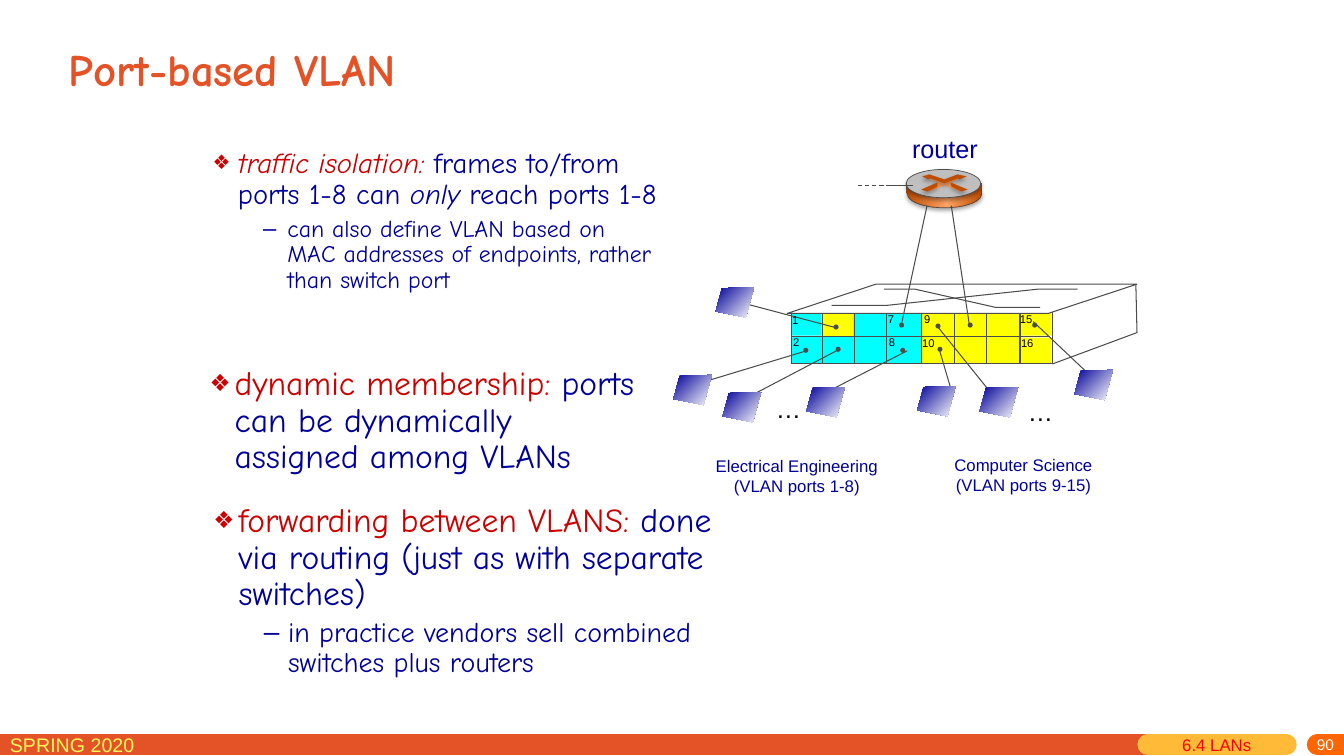
import copy

import pptx
import pptx.dml.color
import pptx.enum.dml
import pptx.enum.shapes
import pptx.enum.text
import pptx.oxml
import pptx.oxml.ns
import pptx.oxml.xmlchemy
import pptx.util

Pt = pptx.util.Pt
qn = pptx.oxml.ns.qn
MSO = pptx.enum.shapes.MSO_SHAPE
ALIGN = pptx.enum.text.PP_ALIGN
ANCHOR = pptx.enum.text.MSO_ANCHOR

GREY, NAVY, RED, BLACK = "4C4C4C", "000099", "CC0000", "000000"
CYAN, YELLOW, RUST = "00FFFF", "FFFF00", "BF4D00"
COPPER = (RUST, "FFA366", RUST)
SHADOW = (
    '<a:outerShdw xmlns:a="http://schemas.openxmlformats.org/drawingml/2006/main" '
    'blurRad="39370" dist="22860" dir="5400000" rotWithShape="0">'
    '<a:srgbClr val="000000"><a:alpha val="35000"/></a:srgbClr></a:outerShdw>'
)


def paint(fill, *colours, angle=0):
    if not colours:
        fill.background()
    elif len(colours) == 1:
        fill.solid()
        fill.fore_color.rgb = pptx.dml.color.RGBColor.from_string(colours[0])
    else:
        fill.gradient()
        fill.gradient_angle = angle
        if len(colours) == 3:
            first = fill.gradient_stops[0]._gs
            middle = copy.deepcopy(first)
            middle.set("pos", "53000")
            first.addnext(middle)
        for stop, colour in zip(fill.gradient_stops, colours):
            stop.color.rgb = pptx.dml.color.RGBColor.from_string(colour)


def write(p, text, colour, **fmt):
    r = p.add_run()
    r.text = text
    paint(r.font.fill, colour)
    for name, value in fmt.items():
        setattr(r.font, name, value)


prs = pptx.Presentation()
prs.slide_width, prs.slide_height = Pt(960), Pt(540)
s = prs.slides.add_slide(prs.slide_layouts[1])

shapes = [
    (MSO.RECTANGLE, 565.2, 223.9, 21.6, 15.8, [CYAN], 0, False),
    (MSO.RECTANGLE, 565.2, 240.5, 23, 19.4, [CYAN], 0, False),
    (MSO.RECTANGLE, 587.5, 223.9, 70.6, 35.3, [CYAN], 0, False),
    (MSO.RECTANGLE, 658.1, 223.9, 69.8, 36, [YELLOW], 0, False),
    (MSO.RECTANGLE, 727.9, 223.2, 23, 16.6, [YELLOW], 0, False),
    (MSO.RECTANGLE, 728.6, 241.2, 22.3, 18, [YELLOW], 0, False),
    (MSO.RECTANGLE, 587.5, 223.9, 22.3, 16.6, [YELLOW], 0, False),
    (MSO.RECTANGLE, 565.2, 223.2, 186.5, 36.7, [], 0.75, False),
    (MSO.PARALLELOGRAM, 562.3, 203, 249.8, 20.9, ["FFFFFF"], 0.75, False),
    (MSO.OVAL, 648, 128.2, 53.3, 20.2, COPPER, 0.5, True),
    (MSO.RECTANGLE, 647.3, 131, 54, 7.2, COPPER, 0, False),
    (MSO.OVAL, 647.3, 121, 53.3, 20.2, ["BFBFBF"], 0.5, True),
]
dots = [(573.8, 248.4), (596.9, 247.7), (643, 248.4), (669.6, 247.7), (668.2, 231.1),
        (737.3, 230.4), (642.2, 230.4), (691.2, 230.4), (595.4, 231.8)]
shapes += [(MSO.OVAL, x, y, 3.6, 3.6, [GREY], 0, False) for x, y in dots]
for kind, x, y, w, h, colours, width, shadow in shapes:
    sp = s.shapes.add_shape(kind, Pt(x), Pt(y), Pt(w), Pt(h))
    if kind == MSO.PARALLELOGRAM:
        sp.adjustments[0] = 3.032
    paint(sp.fill, *colours)
    paint(sp.line.fill, *([GREY] if width else []))
    if width:
        sp.line.width = Pt(width)
    sp.shadow.inherit = False
    if shadow:
        sp.element.spPr.find(qn("a:effectLst")).append(pptx.oxml.parse_xml(SHADOW))

links = [
    (576, 250.6, 504.7, 272.2), (599, 249.8, 535.7, 283), (648, 250.6, 591.8, 279.4),
    (671, 249.8, 679.7, 279.4), (670.3, 234, 708.5, 281.5), (738, 229.7, 778.3, 267.8),
    (596.9, 234, 534.2, 217.4), (643.7, 232.6, 662.2, 146.9), (692.6, 233.3, 679.5, 146.9),
    (632.9, 132.5, 652.3, 132.5), (565.2, 240.5, 750.2, 240.5),
]
dividers = [565.2, 587.5, 610.6, 632.9, 658.1, 681.8, 704.9, 728.6]
links += [(x, 223.7, x, 260.2) for x in dividers]
lines = [(*link, GREY, 0.75, None) for link in links]
lines += [
    (612.7, 132.5, 632.2, 132.5, GREY, 0.75, pptx.enum.dml.MSO_LINE.DASH),
    (648, 139, 647.3, 131, GREY, 0.5, None),
    (701.3, 138.2, 701.3, 131, GREY, 0.5, None),
    (0, 532, 820, 532, "E45327", 15, None),
    (820, 532, 918.7, 532, "FFBA37", 15, None),
    (941, 532, 960, 532, "FF6600", 15, None),
]
for x1, y1, x2, y2, colour, width, dash in lines:
    c = s.shapes.add_connector(pptx.enum.shapes.MSO_CONNECTOR.STRAIGHT,
                               Pt(x1), Pt(y1), Pt(x2), Pt(y2))
    paint(c.line.fill, colour)
    c.line.width = Pt(width)
    if dash:
        c.line.dash_style = dash
    if width == 15:
        c.element.spPr.find(qn("a:ln")).set("cap", "rnd")
    c.element.spPr.append(pptx.oxml.xmlchemy.OxmlElement("a:effectLst"))

hosts = [(481, 267.8), (516.2, 280.1), (576, 276.5), (655.2, 275.8),
         (699.8, 276.5), (767.5, 264.2), (511.2, 205.2)]
corners = [(27.5, 0), (4.5, 0.7), (0, 17.3), (21.6, 21.6)]
outlines = [([(x + dx, y + dy) for dx, dy in corners], [NAVY, "FFFFFF"], False)
            for x, y in hosts]
outlines += [
    ([(751.7, 260), (812.2, 237.6), (811.4, 203)], [], False),
    ([(594, 218.2), (632.9, 218.2), (740.9, 206.6), (769.7, 206.6)], [], False),
    ([(631.4, 206.6), (653.8, 206.6), (711.4, 219.6), (743, 219.6)], [], False),
    ([(674.6, 132.5), (663.8, 136.8), (661.7, 136.1), (669.6, 133.2), (669.6, 130.3),
      (663.1, 127.4), (665.3, 127.4), (674.6, 131), (683.3, 126.7), (686.2, 127.4),
      (679.7, 130.3), (681.1, 133.9), (687.6, 136.1), (685.4, 136.8)], ["FFA366"], False),
    ([(658.8, 126), (663.8, 124.6), (674.6, 128.2), (684, 124.6), (690.5, 126),
      (685.4, 128.2), (684, 127.4), (674.6, 131), (664.6, 127.4), (663.1, 128.2)],
     [RUST], True),
    ([(679, 130.3), (691.2, 135.4), (686.9, 136.8), (679.7, 133.2)], [RUST], True),
    ([(669.6, 130.3), (669.6, 133.2), (662.4, 136.8), (658.1, 135.4)], [RUST], True),
]
for points, colours, shadow in outlines:
    points = [(Pt(x), Pt(y)) for x, y in points]
    fb = s.shapes.build_freeform(*points[0], scale=1.0)
    fb.add_line_segments(points[1:], close=bool(colours))
    sp = fb.convert_to_shape()
    paint(sp.fill, *colours, angle=315)
    paint(sp.line.fill, *([] if colours else [GREY]))
    if not colours:
        sp.line.width = Pt(0.75)
    sp.shadow.inherit = False
    if shadow:
        sp.element.spPr.find(qn("a:effectLst")).append(pptx.oxml.parse_xml(SHADOW))

labels = [
    (["SPRING 2020"], 0, 519.8, 164.9, 22.3, 14, "FFF65C", ALIGN.LEFT),
    (["90"], 774, 527, 186, 13, 11, "FFFFFF", ALIGN.RIGHT),
    (["6.4 LANs"], 837.4, 521.3, 79.2, 22.3, 12, "FF0000", ALIGN.LEFT),
    (["router"], 644.4, 91.4, 61.9, 28.8, 18, NAVY, ALIGN.LEFT),
    (["…"], 727.2, 279.4, 32.4, 28.8, 18, BLACK, ALIGN.LEFT),
    (["…"], 547.2, 277.2, 32.4, 28.8, 18, BLACK, ALIGN.LEFT),
    (["Electrical Engineering", "(VLAN ports 1-8)"],
     504, 321.8, 130.3, 36, 12, NAVY, ALIGN.CENTER),
    (["Computer Science", "(VLAN ports 9-15)"],
     674.6, 321.1, 113, 36, 12, NAVY, ALIGN.CENTER),
]
ports = [("1", 558.7, 220.3), ("2", 559.4, 236.2), ("7", 627.1, 219.6), ("8", 627.8, 236.2),
         ("9", 653, 219.6), ("10", 651.6, 236.9), ("15", 721.4, 219.6), ("16", 722.2, 236.9)]
labels += [([n], x, y, 24, 16.6, 8, BLACK, ALIGN.LEFT) for n, x, y in ports]
for texts, x, y, w, h, size, colour, align in labels:
    tf = s.shapes.add_textbox(Pt(x), Pt(y), Pt(w), Pt(h)).text_frame
    tf.word_wrap = True
    if align == ALIGN.RIGHT:
        tf.vertical_anchor = ANCHOR.MIDDLE
        tf.margin_top = 0
    for i, text in enumerate(texts):
        p = tf.add_paragraph() if i else tf.paragraphs[0]
        p.alignment = align
        write(p, text, colour, name="Arial", size=Pt(size))

title, body = s.placeholders
title.left, title.top, title.width, title.height = Pt(41.8), Pt(20.2), Pt(877), Pt(56.9)
title.text_frame.vertical_anchor = ANCHOR.MIDDLE
p = title.text_frame.paragraphs[0]
p.alignment = ALIGN.LEFT
write(p, "Port-based VLAN", "E45327", name="Comic Neue", size=Pt(32), bold=True)

lists = [
    (body, 144.7, 103, 334.8, 139, [
        (20.4, [("traffic isolation: ", RED, True), ("frames to/from ports 1-8 can ", NAVY, False),
                ("only", NAVY, True), (" reach ports 1-8", NAVY, False)]),
        (17, [("can also define VLAN based on MAC addresses of endpoints, "
               "rather than switch port", NAVY, False)])]),
    (None, 142.6, 258.5, 319.7, 126.7, [
        (24, [("dynamic membership", RED, False), (": ", "FF0000", False),
              ("ports can be dynamically assigned among VLANs", NAVY, False)])]),
    (None, 145.4, 356.4, 393.8, 126.7, [
        (24, [("forwarding between VLANS: ", RED, False),
              ("done via routing (just as with separate switches)", NAVY, False)]),
        (20, [("in practice vendors sell combined switches plus routers", NAVY, False)])]),
]
levels = [("❖", 18, -18, "70000"), ("–", 53.3, -17.3, "100000")]
for sp, x, y, w, h, items in lists:
    sp = sp or s.shapes.add_textbox(0, 0, Pt(w), Pt(h))
    sp.left, sp.top, sp.width, sp.height = Pt(x), Pt(y), Pt(w), Pt(h)
    tf = sp.text_frame
    tf.word_wrap = True
    tf.auto_size = pptx.enum.text.MSO_AUTO_SIZE.NONE
    for level, (size, runs) in enumerate(items):
        p = tf.paragraphs[0] if level == 0 else tf.add_paragraph()
        for name, value in {"level": level, "line_spacing": 0.9,
                            "space_before": Pt(4 * level)}.items():
            setattr(p, name, value)
        char, margin, indent, percent = levels[level]
        pPr = p._p.get_or_add_pPr()
        pPr.set("marL", str(Pt(margin)))
        pPr.set("indent", str(Pt(indent)))
        for tag, key, value in [("a:buSzPct", "val", percent), ("a:buFont", "typeface", "Arial"),
                                ("a:buChar", "char", char)]:
            bullet = pptx.oxml.xmlchemy.OxmlElement(tag)
            bullet.set(key, value)
            pPr.append(bullet)
        for text, colour, italic in runs:
            write(p, text, colour, name="Comic Neue", size=Pt(size), italic=italic)

prs.save("out.pptx")
